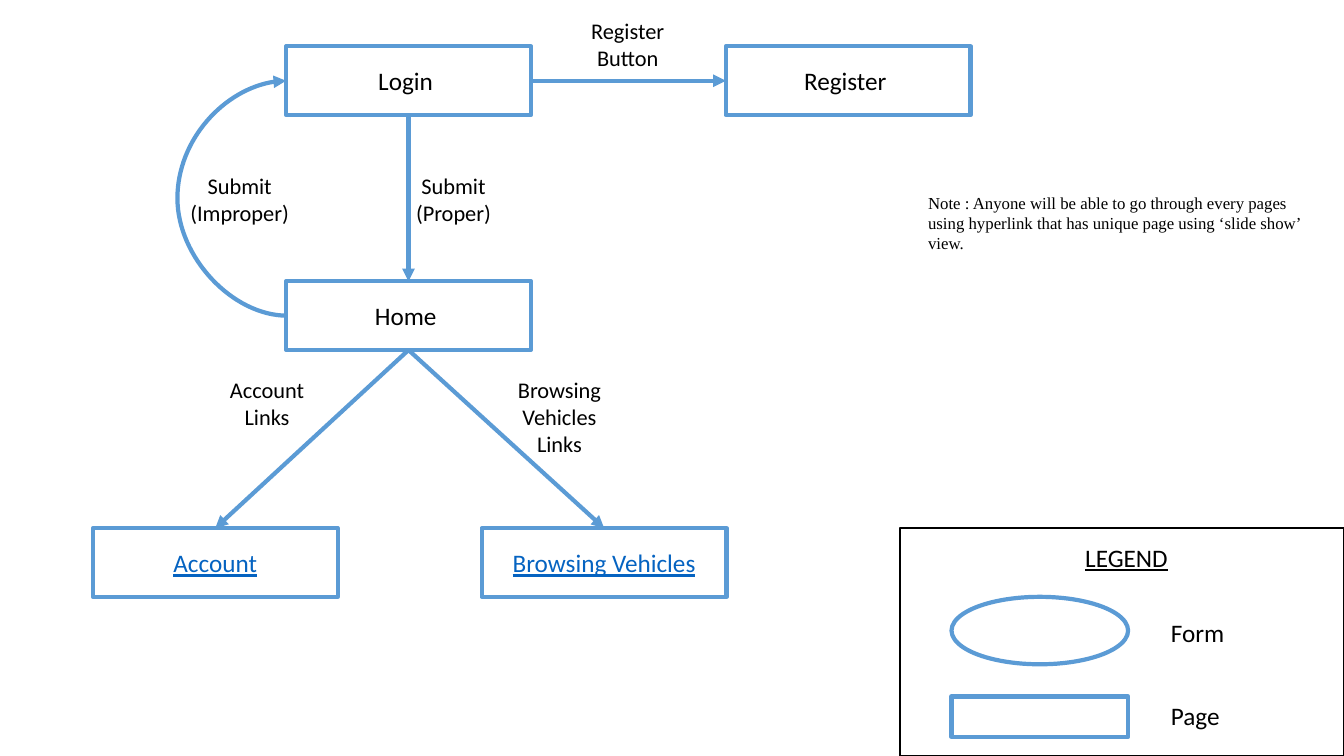
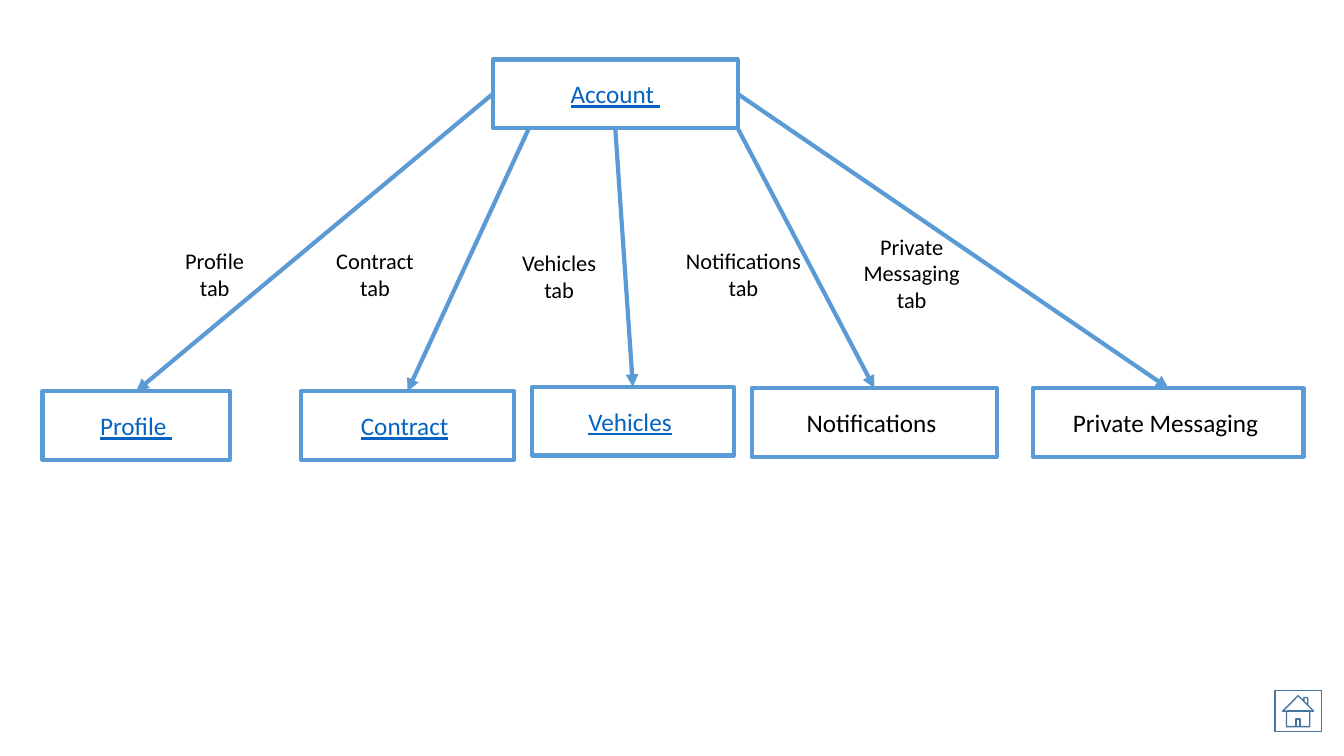
from lxml.etree import SubElement
from pptx import Presentation
from pptx.dml.color import RGBColor
from pptx.enum.shapes import MSO_CONNECTOR, MSO_SHAPE
from pptx.enum.text import MSO_ANCHOR, MSO_AUTO_SIZE, PP_ALIGN
from pptx.oxml.ns import qn
from pptx.util import Cm, Pt

BLUE = RGBColor(0x5B, 0x9B, 0xD5)
DARK_BLUE = RGBColor(0x43, 0x73, 0x9E)
LINK_BLUE = RGBColor(0x05, 0x63, 0xC1)
BLACK = RGBColor(0, 0, 0)
WHITE = RGBColor(0xFF, 0xFF, 0xFF)
FONT, NOTE_FONT = "Calibri", "Times New Roman"
PAGE_W, PAGE_H = 6.17, 1.73
TOP, LEFT, BOTTOM, RIGHT = range(4)


def add_outline(s, kind, left, top, width, height, fill=WHITE, color=BLUE, weight=3):
    """Add an outlined shape and return it."""
    sp = s.shapes.add_shape(kind, Cm(left), Cm(top), Cm(width), Cm(height))
    sp.shadow.inherit = False
    if fill is None:
        sp.fill.background()
    else:
        sp.fill.solid()
        sp.fill.fore_color.rgb = fill
    sp.line.color.rgb = color
    sp.line.width = Pt(weight)
    if kind == MSO_SHAPE.ROUNDED_RECTANGLE:
        sp.adjustments[0] = 0
    return sp


def add_page(s, left, top, width=PAGE_W, link="", text=""):
    """Add a page box whose link text comes before its plain text."""
    sp = add_outline(s, MSO_SHAPE.ROUNDED_RECTANGLE, left, top, width, PAGE_H)
    tf = sp.text_frame
    tf.vertical_anchor = MSO_ANCHOR.MIDDLE
    p = tf.paragraphs[0]
    p.alignment = PP_ALIGN.CENTER
    p.font.name, p.font.size = FONT, Pt(18)
    for words, color in ((link, LINK_BLUE), (text, BLACK)):
        if words:
            r = p.add_run()
            r.text = words
            r.font.color.rgb = color
            r.font.underline = color == LINK_BLUE
    return sp


def add_text(s, text, left, top, width, height=1.63, size=16, font=FONT,
             align=PP_ALIGN.CENTER, wrap=True, underline=False):
    """Add a text box that grows with its text."""
    tf = s.shapes.add_textbox(Cm(left), Cm(top), Cm(width), Cm(height)).text_frame
    tf.word_wrap = wrap
    tf.auto_size = MSO_AUTO_SIZE.SHAPE_TO_FIT_TEXT
    p = tf.paragraphs[0]
    p.text = text
    p.alignment = align
    p.font.name, p.font.size = font, Pt(size)
    p.font.color.rgb = BLACK
    p.font.underline = underline


def add_arrow(s, x1=0, y1=0, x2=0, y2=0, kind=MSO_CONNECTOR.STRAIGHT):
    """Add a blue arrow with a triangle at its end."""
    c = s.shapes.add_connector(kind, Cm(x1), Cm(y1), Cm(x2), Cm(y2))
    c.line.color.rgb = BLUE
    c.line.width = Pt(3)
    SubElement(c.line._get_or_add_ln(), qn("a:tailEnd"), type="triangle")
    SubElement(c._element.spPr, qn("a:effectLst"))
    return c


def add_return_arrow(s, x, top, bottom, bulge):
    """Add a curved arrow that leaves x leftwards and returns higher up."""
    width = 0.03
    c = add_arrow(s, x, top, x + width, bottom, MSO_CONNECTOR.CURVE)
    c._element.spPr.find(qn("a:xfrm")).set("rot", "10800000")
    guides = c._element.spPr.find(qn("a:prstGeom")).get_or_add_avLst()
    SubElement(guides, qn("a:gd"), name="adj1", fmla=f"val {round(bulge / width * 100000)}")


def add_site_map(s, left, top):
    """Draw the pages reached from the login page."""
    login = add_page(s, left + 4.87, top, text="Login ")
    register = add_page(s, left + 15.95, top, text="Register ")
    home = add_page(s, left + 4.87, top + 5.92, text="Home ")
    account = add_page(s, left, top + 12.14, link="Account")
    browsing = add_page(s, left + 9.8, top + 12.14, link="Browsing Vehicles")

    add_return_arrow(s, left + 4.87, top + PAGE_H / 2, top + 5.92 + PAGE_H / 2, 2.77)
    for source, exit_side, target, entry_side in (
        (home, BOTTOM, account, TOP),
        (home, BOTTOM, browsing, TOP),
        (login, BOTTOM, home, TOP),
        (login, RIGHT, register, LEFT),
    ):
        c = add_arrow(s)
        c.begin_connect(source, exit_side)
        c.end_connect(target, entry_side)

    for text, x, y, width in (
        ("Submit (Proper)", 7.77, 3.05, 2.64),
        ("Submit (Improper)", 2.11, 3.05, 3.18),
        ("Register Button", 12.16, -0.87, 2.64),
        ("Account Links", 3.07, 8.18, 2.64),
        ("Browsing Vehicles Links", 10.44, 8.18, 2.64),
    ):
        add_text(s, text, left + x, top + y, width)


def add_legend(s, left, top, width, height):
    """Draw the framed key to the shapes."""
    add_outline(s, MSO_SHAPE.RECTANGLE, left, top, width, height, None, BLACK, 1)
    for kind, y, h in ((MSO_SHAPE.OVAL, 1.73, 1.7), (MSO_SHAPE.ROUNDED_RECTANGLE, 4.24, 1.02)):
        add_outline(s, kind, left + 1.3, top + y, 4.45, h)
    for text, x, y, w in (("LEGEND", 4.42, 0.23, 2.62), ("Form", 6.58, 2.11, 1.88),
                          ("Page", 6.58, 4.22, 1.75)):
        add_text(s, text, left + x, top + y, w, 1.02, 18, align=PP_ALIGN.LEFT,
                 wrap=False, underline=text == "LEGEND")


def add_account_tabs(s, left, top):
    """Draw the account page with an arrow to each of its tabs."""
    account_x = left + 11.35
    add_page(s, account_x, top, link="Account ")
    tabs = [add_page(s, left + x, top + y, width, link, text) for x, y, width, link, text in (
        (0, 8.36, 4.72, "Profile ", ""),
        (6.52, 8.36, 5.36, "Contract", " "),
        (12.34, 8.25, 5.08, "Vehicles", " "),
        (17.88, 8.28, PAGE_W, "", "Notifications "),
        (24.97, 8.28, 6.81, "", "Private Messaging "),
    )]
    starts = ((0, PAGE_H / 2), (0.91, PAGE_H), (PAGE_W / 2, PAGE_H),
              (PAGE_W, PAGE_H), (PAGE_W, PAGE_H / 2))
    for tab, (x, y) in zip(tabs, starts):
        add_arrow(s, account_x + x, top + y).end_connect(tab, TOP)

    for text, x, y, width in (
        ("Profile tab", 2.92, 4.6, 2.84),
        ("Contract tab", 6.96, 4.6, 2.84),
        ("Vehicles tab", 11.6, 4.65, 2.84),
        ("Notifications tab", 15.95, 4.6, 3.43),
        ("Private Messaging tab", 20.37, 4.24, 3.07),
    ):
        add_text(s, text, left + x, top + y, width)


prs = Presentation()
prs.slide_width, prs.slide_height = Cm(33.87), Cm(19.05)
blank = prs.slide_layouts[6]

s = prs.slides.add_slide(blank)
add_site_map(s, 2.34, 1.17)
add_legend(s, 22.68, 13.31, 11.19, 5.74)
add_text(s, "Note : Anyone will be able to go through every pages using hyperlink "
         "that has unique page using ‘slide show’ view.",
         23.14, 4.72, 9.93, 1.8, 12, NOTE_FONT, PP_ALIGN.LEFT)

s = prs.slides.add_slide(blank)
add_account_tabs(s, 1.07, 1.5)
add_outline(s, MSO_SHAPE.ACTION_BUTTON_HOME, 32.13, 17.4, 1.17, 1.04, None, DARK_BLUE, 1)

prs.save("out.pptx")
